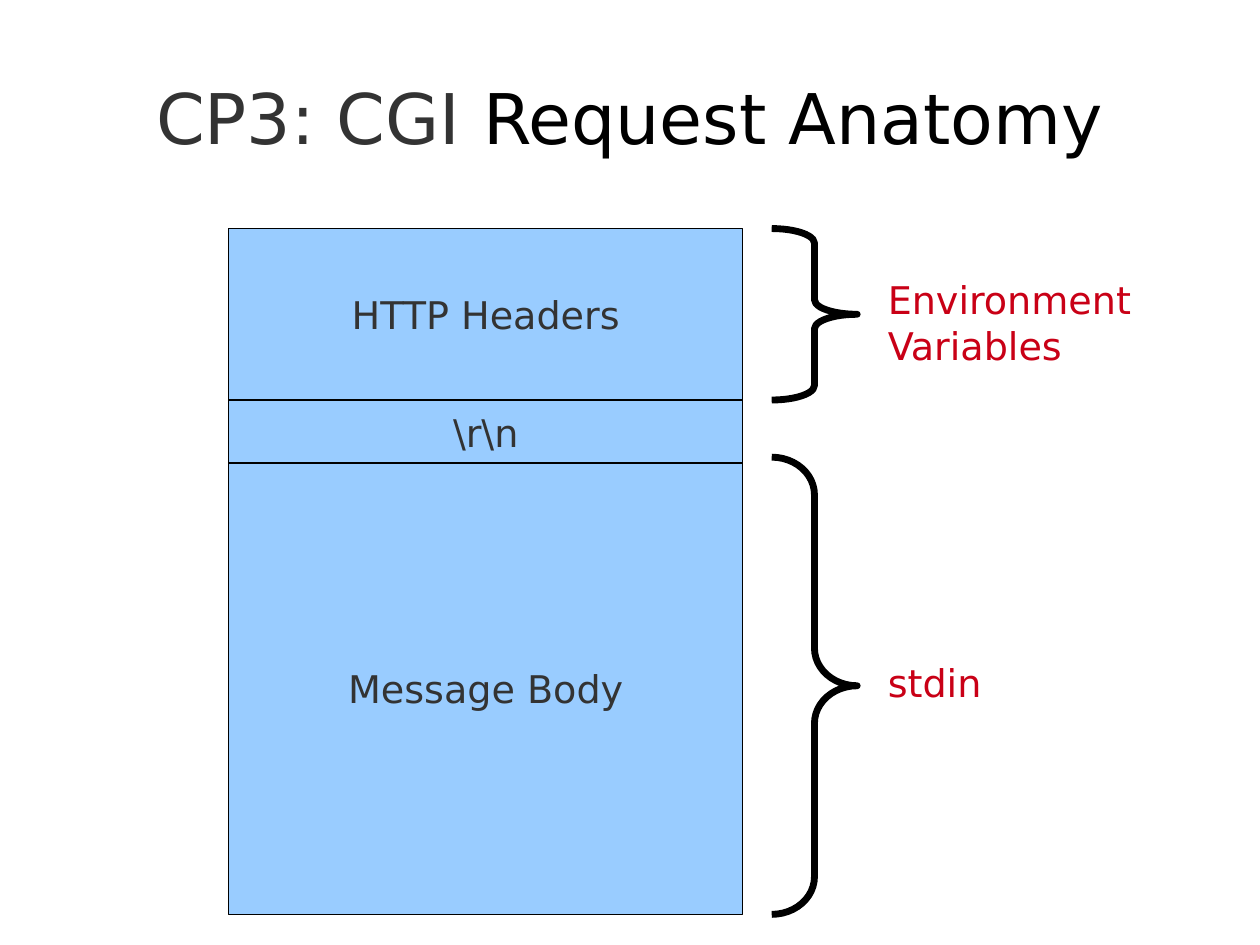
from pptx import Presentation
from pptx.dml.color import RGBColor
from pptx.enum.shapes import MSO_SHAPE
from pptx.enum.text import MSO_ANCHOR, PP_ALIGN
from pptx.util import Cm, Pt

COLORS = {"text": "333333", "black": "000000", "block": "99CCFF", "label": "C90016"}
FONT = "DejaVu Sans"
TITLE = [("CP3: CGI ", "text"), ("Request Anatomy", "black")]
BLOCKS = [
    ("HTTP Headers", 5.08, 3.81),
    ("\\r\\n", 8.89, 1.45),
    ("Message Body", 10.29, 10.03),
]
BRACES = [
    (["Environment", "Variables"], 5.08, 3.81, 0.17, 6.02, 5.92, 2.24),
    (["stdin"], 10.16, 10.16, 0.44, 14.53, 2.59, 1.24),
]
BLOCK_LEFT, BLOCK_WIDTH = 5.08, 11.43
BRACE_LEFT, BRACE_WIDTH = 17.15, 1.9
LABEL_LEFT = 19.48


def color(name):
    """Return the named colour."""
    return RGBColor.from_string(COLORS[name])


def style(paragraph, size, name=None, alignment=PP_ALIGN.LEFT):
    """Set the alignment and font of a paragraph."""
    paragraph.alignment = alignment
    paragraph.font.name = FONT
    paragraph.font.size = Pt(size)
    if name:
        paragraph.font.color.rgb = color(name)


def add_title(slide):
    """Add the two-coloured title."""
    box = slide.shapes.add_textbox(Cm(1.4), Cm(0.84), Cm(25.2), Cm(3.51))
    frame = box.text_frame
    frame.word_wrap = True
    frame.vertical_anchor = MSO_ANCHOR.MIDDLE
    frame.margin_left = frame.margin_right = frame.margin_top = frame.margin_bottom = 0
    paragraph = frame.paragraphs[0]
    style(paragraph, 44, alignment=PP_ALIGN.CENTER)
    for text, name in TITLE:
        run = paragraph.add_run()
        run.text = text
        run.font.color.rgb = color(name)


def add_outline(slide, kind, left, top, width, height, line_width):
    """Add a black-lined shape without shadow."""
    shape = slide.shapes.add_shape(kind, Cm(left), Cm(top), Cm(width), Cm(height))
    shape.shadow.inherit = False
    shape.line.color.rgb = color("black")
    shape.line.width = Pt(line_width)
    return shape


def add_block(slide, text, top, height):
    """Add one part of the request."""
    shape = add_outline(slide, MSO_SHAPE.RECTANGLE, BLOCK_LEFT, top, BLOCK_WIDTH, height, 0)
    shape.fill.solid()
    shape.fill.fore_color.rgb = color("block")
    frame = shape.text_frame
    frame.vertical_anchor = MSO_ANCHOR.MIDDLE
    frame.text = text
    style(frame.paragraphs[0], 24, "text", PP_ALIGN.CENTER)


def add_brace(slide, lines, top, height, curve, label_top, label_width, label_height):
    """Add a brace and its label."""
    brace = add_outline(slide, MSO_SHAPE.RIGHT_BRACE, BRACE_LEFT, top, BRACE_WIDTH, height, 4.31)
    brace.fill.background()
    brace.adjustments[0] = curve
    label = slide.shapes.add_textbox(
        Cm(LABEL_LEFT), Cm(label_top), Cm(label_width), Cm(label_height))
    frame = label.text_frame
    frame.word_wrap = False
    frame.text = "\n".join(lines)
    for paragraph in frame.paragraphs:
        style(paragraph, 24, "label")


def main():
    """Build and save the slide."""
    presentation = Presentation()
    presentation.slide_width, presentation.slide_height = Cm(28), Cm(21)
    slide = presentation.slides.add_slide(presentation.slide_layouts[6])
    add_title(slide)
    for block in BLOCKS:
        add_block(slide, *block)
    for brace in BRACES:
        add_brace(slide, *brace)
    presentation.save("out.pptx")


if __name__ == "__main__":
    main()
